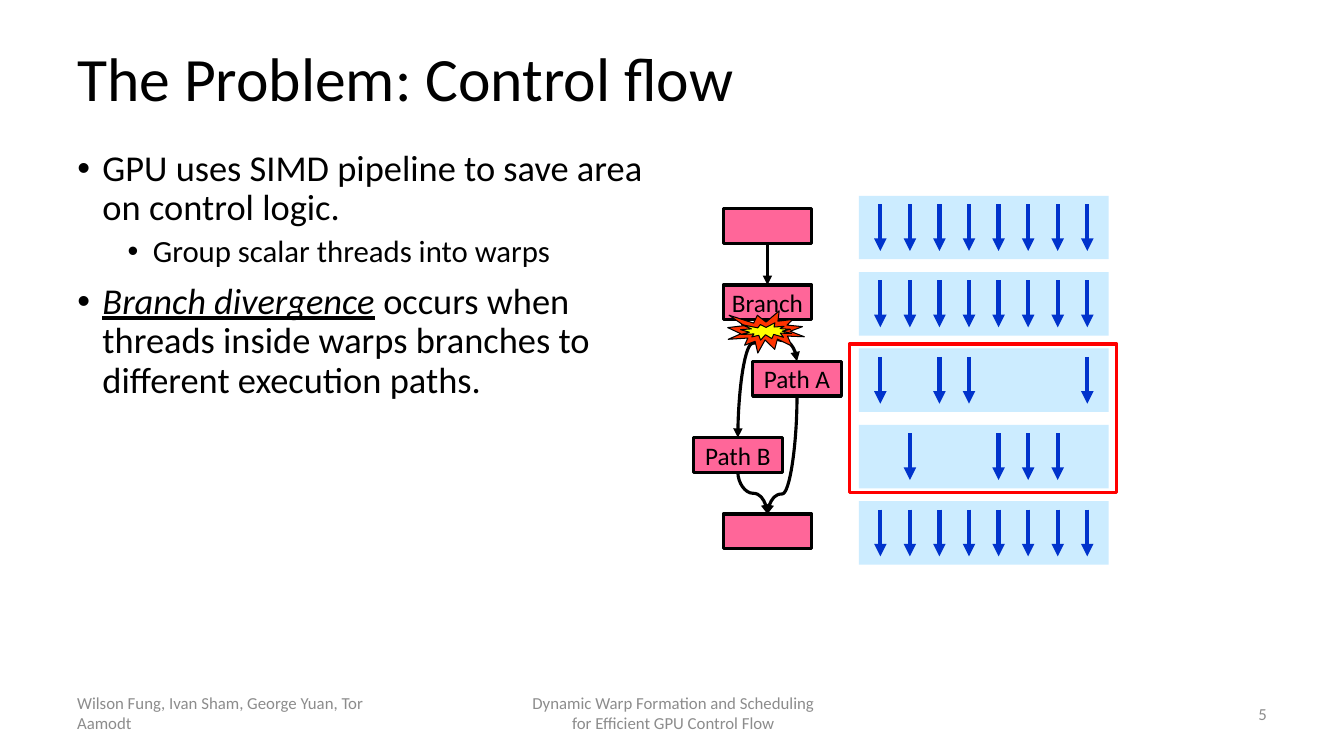
from dataclasses import dataclass

from lxml import etree
from pptx import Presentation
from pptx.dml.color import RGBColor
from pptx.enum.shapes import MSO_CONNECTOR, MSO_SHAPE
from pptx.enum.text import MSO_ANCHOR, MSO_AUTO_SIZE, PP_ALIGN
from pptx.oxml.ns import qn
from pptx.shapes.autoshape import Shape
from pptx.shapes.connector import Connector
from pptx.slide import Slide
from pptx.text.text import TextFrame, _Paragraph as Paragraph
from pptx.util import Inches, Pt

RECTANGLE, BURST = MSO_SHAPE.RECTANGLE, MSO_SHAPE.EXPLOSION1
STRAIGHT, CURVE = MSO_CONNECTOR.STRAIGHT, MSO_CONNECTOR.CURVE
LEFT, CENTER, RIGHT = PP_ALIGN.LEFT, PP_ALIGN.CENTER, PP_ALIGN.RIGHT
TOP, MIDDLE = MSO_ANCHOR.TOP, MSO_ANCHOR.MIDDLE
NO_AUTOFIT = MSO_AUTO_SIZE.NONE

COLORS = {
    "text": "000000", "footer": "8C8C8C", "warp": "CCECFF", "thread": "0033CC",
    "block": "FF6699", "frame": "FF0000", "burst": "FF3300", "spark": "FFFF00",
}
FONT = "Calibri"
SLIDE_WIDTH, SLIDE_HEIGHT = Inches(13.33), Inches(7.5)

# Diagram grid, in percent of the slide's width and height
ROW_TOP, ROW_STEP = 25.9, 10.1
LANE_LEFT, LANE_STEP = 65.5, 2.2
FLOW_CENTER = 57.1
BLOCK_WIDTH, BLOCK_HEIGHT, BLOCK_DROP = 6.6, 4.6, 1.7
THREAD_DROP, THREAD_LENGTH = 1.1, 6.2


@dataclass(frozen=True)
class Area:
    """A rectangle in percent of the slide's size."""
    left: float
    top: float
    width: float
    height: float

    def lengths(self) -> tuple[int, int, int, int]:
        return (across(self.left), down(self.top),
                across(self.width), down(self.height))


@dataclass(frozen=True)
class FlowStep:
    """One row: a code block, its column shift and the active lanes."""
    label: str
    shift: int
    lanes: str


@dataclass(frozen=True)
class Branch:
    source: int
    target: int
    bend: float


@dataclass(frozen=True)
class Bullet:
    level: int
    size: int
    space_before: int
    margin: float
    runs: tuple[tuple[str, bool], ...]


@dataclass(frozen=True)
class FooterText:
    area: Area
    alignment: PP_ALIGN
    lines: tuple[str, ...]


STEPS = (
    FlowStep("", 0, "11111111"),
    FlowStep("Branch", 0, "11111111"),
    FlowStep("Path A", 1, "10110001"),
    FlowStep("Path B", -1, "01001110"),
    FlowStep("", 0, "11111111"),
)
BRANCHES = (Branch(1, 3, 0.2), Branch(1, 2, 0.5), Branch(2, 4, 0.83), Branch(3, 4, 0.5))
BULLETS = (
    Bullet(0, 26, 10, 0.25,
           (("GPU uses SIMD pipeline to save area on control logic.", False),)),
    Bullet(1, 22, 5, 0.75, (("Group scalar threads into warps", False),)),
    Bullet(0, 26, 10, 0.25,
           (("Branch divergence", True),
            (" occurs when threads inside warps branches to different execution paths.",
             False))),
)
FOOTERS = (
    FooterText(Area(5, 90.9, 23.3, 6.7), LEFT,
               ("Wilson Fung, Ivan Sham, George Yuan, Tor Aamodt",)),
    FooterText(Area(28.6, 90.9, 43, 6.7), CENTER,
               ("Dynamic Warp Formation and Scheduling", "for Efficient GPU Control Flow")),
    FooterText(Area(71.7, 91.1, 23.3, 6.7), RIGHT, ("5",)),
)


def across(percent: float) -> int:
    return round(SLIDE_WIDTH * percent / 100)


def down(percent: float) -> int:
    return round(SLIDE_HEIGHT * percent / 100)


def row_top(row: int) -> float:
    return ROW_TOP + row * ROW_STEP


def apply_format(target: object, values: dict[str, object]) -> None:
    for name, value in values.items():
        setattr(target, name, value)


def add_run(paragraph: Paragraph, text: str, size: int, color: str = "text",
            **emphasis: bool) -> None:
    run = paragraph.add_run()
    run.text = text
    apply_format(run.font, {"name": FONT, "size": Pt(size), **emphasis})
    run.font.color.rgb = RGBColor.from_string(COLORS[color])


def place_placeholder(shape: Shape, area: Area, anchor: MSO_ANCHOR) -> TextFrame:
    shape.left, shape.top, shape.width, shape.height = area.lengths()
    apply_format(shape.text_frame, {"auto_size": NO_AUTOFIT, "word_wrap": True,
                                    "vertical_anchor": anchor})
    return shape.text_frame


def next_paragraph(frame: TextFrame, index: int) -> Paragraph:
    return frame.add_paragraph() if index else frame.paragraphs[0]


def add_bullet(paragraph: Paragraph, bullet: Bullet) -> None:
    apply_format(paragraph, {"level": bullet.level, "line_spacing": 0.9,
                             "space_before": Pt(bullet.space_before), "alignment": LEFT})
    properties = paragraph._p.get_or_add_pPr()
    properties.set("marL", str(Inches(bullet.margin)))
    properties.set("indent", str(Inches(-0.25)))
    etree.SubElement(properties, qn("a:buChar")).set("char", "•")
    for text, is_term in bullet.runs:
        add_run(paragraph, text, bullet.size, italic=is_term, underline=is_term)


def add_footer(slide: Slide, footer: FooterText) -> None:
    frame = slide.shapes.add_textbox(*footer.area.lengths()).text_frame
    apply_format(frame, {"word_wrap": True, "vertical_anchor": MIDDLE})
    for index, line in enumerate(footer.lines):
        paragraph = next_paragraph(frame, index)
        paragraph.alignment = footer.alignment
        add_run(paragraph, line, 12, "footer")


def add_figure(slide: Slide, kind: MSO_SHAPE, area: Area, fill: str = "",
               line: str = "", line_width: float = 2.25) -> Shape:
    shape = slide.shapes.add_shape(kind, *area.lengths())
    shape.shadow.inherit = False
    if fill:
        shape.fill.solid()
        shape.fill.fore_color.rgb = RGBColor.from_string(COLORS[fill])
    else:
        shape.fill.background()
    if line:
        shape.line.color.rgb = RGBColor.from_string(COLORS[line])
        shape.line.width = Pt(line_width)
    else:
        shape.line.fill.background()
    return shape


def style_arrow(connector: Connector, color: str, width: float) -> None:
    connector.line.color.rgb = RGBColor.from_string(COLORS[color])
    connector.line.width = Pt(width)
    properties = connector._element.spPr
    etree.SubElement(properties.find(qn("a:ln")), qn("a:tailEnd")).set("type", "triangle")
    etree.SubElement(properties, qn("a:effectLst"))


def add_warp(slide: Slide, row: int, lanes: str) -> None:
    add_figure(slide, RECTANGLE, Area(63.9, row_top(row), 18.6, 8.4), "warp")
    start = row_top(row) + THREAD_DROP
    for lane, active in enumerate(lanes):
        if active == "1":
            x = across(LANE_LEFT + lane * LANE_STEP)
            thread = slide.shapes.add_connector(
                STRAIGHT, x, down(start), x, down(start + THREAD_LENGTH))
            style_arrow(thread, "thread", 3)


def add_block(slide: Slide, row: int, step: FlowStep) -> Shape:
    left = FLOW_CENTER + step.shift * LANE_STEP - BLOCK_WIDTH / 2
    area = Area(left, row_top(row) + BLOCK_DROP, BLOCK_WIDTH, BLOCK_HEIGHT)
    block = add_figure(slide, RECTANGLE, area, "block", "text")
    if step.label:
        apply_format(block.text_frame, {"word_wrap": False, "vertical_anchor": MIDDLE})
        paragraph = block.text_frame.paragraphs[0]
        paragraph.alignment = CENTER
        add_run(paragraph, step.label, 18)
    return block


def add_branch(slide: Slide, source: Shape, target: Shape, bend: float) -> None:
    """Draw a curve that leaves downwards, as a sideways curve turned upright."""
    start_x, start_y = source.left + source.width // 2, source.top + source.height
    end_x, end_y = target.left + target.width // 2, target.top
    length, spread = end_y - start_y, abs(end_x - start_x)
    left = (start_x + end_x - length) // 2
    top = (start_y + end_y - spread) // 2
    curve = slide.shapes.add_connector(CURVE, left, top, left + length, top + spread)
    style_arrow(curve, "text", 2.25)
    transform = curve._element.spPr.find(qn("a:xfrm"))
    goes_right = end_x > start_x
    transform.set("rot", str((270 if goes_right else 90) * 60000))
    transform.set("flipH", str(int(goes_right)))
    guide = etree.SubElement(curve._element.spPr.find(qn("a:prstGeom")).find(qn("a:avLst")),
                             qn("a:gd"))
    guide.set("name", "adj1")
    guide.set("fmla", f"val {round(bend * 100000)}")


def main() -> None:
    presentation = Presentation()
    presentation.slide_width, presentation.slide_height = SLIDE_WIDTH, SLIDE_HEIGHT
    slide = presentation.slides.add_slide(presentation.slide_layouts[1])

    # Title, bullets and footer
    title = place_placeholder(slide.shapes.title, Area(5, 4, 79.4, 13.5), MIDDLE)
    apply_format(title.paragraphs[0], {"alignment": LEFT, "line_spacing": 0.9})
    add_run(title.paragraphs[0], "The Problem: Control flow", 44)
    body = place_placeholder(slide.placeholders[1], Area(5, 19.2, 44.2, 70.3), TOP)
    for index, bullet in enumerate(BULLETS):
        add_bullet(next_paragraph(body, index), bullet)
    for footer in FOOTERS:
        add_footer(slide, footer)

    # Warps and the frame around the diverged ones
    for row, step in enumerate(STEPS):
        add_warp(slide, row, step.lanes)
    add_figure(slide, RECTANGLE, Area(63.2, 45.5, 19.9, 19.6), line="frame")

    # Control flow graph
    blocks = [add_block(slide, row, step) for row, step in enumerate(STEPS)]
    entry = slide.shapes.add_connector(STRAIGHT, 0, 0, 0, 0)
    entry.begin_connect(blocks[0], 2)
    entry.end_connect(blocks[1], 0)
    style_arrow(entry, "text", 2.25)
    for branch in BRANCHES:
        add_branch(slide, blocks[branch.source], blocks[branch.target], branch.bend)

    # Burst at the divergence
    add_figure(slide, BURST, Area(54.15, 41.1, 5.7, 5.6), "burst", "text", 0.75)
    add_figure(slide, BURST, Area(55.1, 42.7, 3.8, 2.3), "spark", "text", 0.75)

    presentation.save("out.pptx")


if __name__ == "__main__":
    main()
